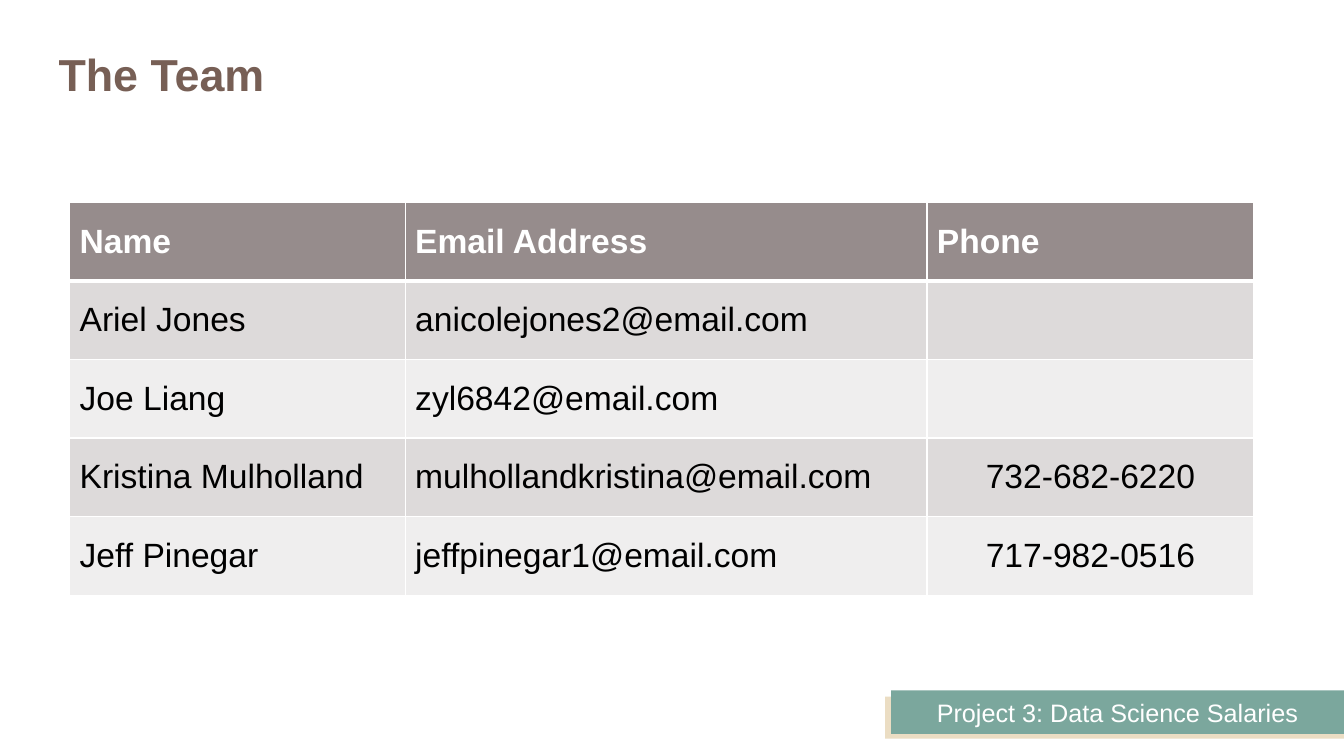
from dataclasses import dataclass

from lxml.etree import SubElement
from pptx import Presentation
from pptx.dml.color import RGBColor
from pptx.enum.shapes import MSO_SHAPE
from pptx.enum.text import MSO_ANCHOR, PP_ALIGN
from pptx.oxml.ns import qn
from pptx.shapes.autoshape import Shape
from pptx.slide import Slide
from pptx.table import _Cell
from pptx.text.text import TextFrame
from pptx.util import Pt


@dataclass(frozen=True)
class Theme:
    font: str = "Arial"
    title: str = "775F55"
    white: str = "FFFFFF"
    black: str = "000000"
    header: str = "968C8C"
    bands: tuple[str, str] = ("DDDADA", "EFEEEE")
    footer: str = "7BA79D"
    footer_edge: str = "EBDDC3"
    title_size: float = 32
    table_size: float = 24
    footer_size: float = 18


@dataclass(frozen=True)
class Area:
    left: float
    top: float
    width: float
    height: float

    def points(self) -> tuple[Pt, Pt, Pt, Pt]:
        return Pt(self.left), Pt(self.top), Pt(self.width), Pt(self.height)


@dataclass(frozen=True)
class Member:
    name: str
    email: str
    phone: str = ""


@dataclass(frozen=True)
class Bar:
    area: Area
    color: str
    text: str = ""


THEME = Theme()
HEADINGS = ("Name", "Email Address", "Phone")
TEAM = (
    Member("Ariel Jones", "anicolejones2@email.com"),
    Member("Joe Liang", "zyl6842@email.com"),
    Member("Kristina Mulholland", "mulhollandkristina@email.com", "732-682-6220"),
    Member("Jeff Pinegar", "jeffpinegar1@email.com", "717-982-0516"),
)
COLUMN_WIDTHS = (239.7, 372.7, 233.6)
ROW_HEIGHT = 56.2
TITLE_AREA = Area(41.8, 15.1, 877, 79.2)
TABLE_AREA = Area(49.7, 144.3, sum(COLUMN_WIDTHS), ROW_HEIGHT * (len(TEAM) + 1))
FOOTER_BARS = (
    Bar(Area(632.2, 497.5, 327.8, 30.2), THEME.footer_edge),
    Bar(Area(636.5, 493.2, 323.5, 31), THEME.footer, "Project 3: Data Science Salaries"),
)


def write(frame: TextFrame, text: str, size: float, color: str,
          bold: bool = False, align: PP_ALIGN = PP_ALIGN.LEFT) -> None:
    para = frame.paragraphs[0]
    para.alignment = align
    span = para.add_run()
    span.text = text
    formats = {"name": THEME.font, "size": Pt(size), "bold": bold}
    for key, value in formats.items():
        setattr(span.font, key, value)
    span.font.color.rgb = RGBColor.from_string(color)


def add_bar(page: Slide, bar: Bar) -> Shape:
    box = page.shapes.add_shape(MSO_SHAPE.RECTANGLE, *bar.area.points())
    box.shadow.inherit = False
    box.fill.solid()
    box.fill.fore_color.rgb = RGBColor.from_string(bar.color)
    box.line.fill.background()
    if bar.text:
        box.text_frame.vertical_anchor = MSO_ANCHOR.MIDDLE
        write(box.text_frame, bar.text, THEME.footer_size, THEME.white,
              align=PP_ALIGN.CENTER)
    return box


def add_title(page: Slide, text: str) -> None:
    frame = page.shapes.add_textbox(*TITLE_AREA.points()).text_frame
    formats = {"word_wrap": True, "vertical_anchor": MSO_ANCHOR.MIDDLE,
               "margin_left": 0, "margin_top": 0,
               "margin_right": 0, "margin_bottom": 0}
    for key, value in formats.items():
        setattr(frame, key, value)
    write(frame, text, THEME.title_size, THEME.title, bold=True)
    frame.paragraphs[0].line_spacing = 0.9


def style_cell(cell: _Cell, color: str, top: float, bottom: float) -> None:
    # Borders come before the fill in the cell properties
    properties = cell._tc.get_or_add_tcPr()
    for side, width in {"L": 1, "R": 1, "T": top, "B": bottom}.items():
        line = SubElement(properties, qn(f"a:ln{side}"), w=str(Pt(width)))
        fill = SubElement(line, qn("a:solidFill"))
        SubElement(fill, qn("a:srgbClr"), val=THEME.white)
    cell.fill.solid()
    cell.fill.fore_color.rgb = RGBColor.from_string(color)
    cell.vertical_anchor = MSO_ANCHOR.MIDDLE


def add_team_table(page: Slide) -> None:
    rows = [HEADINGS] + [(member.name, member.email, member.phone) for member in TEAM]
    table = page.shapes.add_table(len(rows), len(HEADINGS), *TABLE_AREA.points()).table
    table.horz_banding = False
    for column, width in zip(table.columns, COLUMN_WIDTHS):
        column.width = Pt(width)
    for number, texts in enumerate(rows):
        table.rows[number].height = Pt(ROW_HEIGHT)
        heading = number == 0
        color = THEME.header if heading else THEME.bands[(number - 1) % 2]
        for index, text in enumerate(texts):
            cell = table.cell(number, index)
            style_cell(cell, color, top=3 if number == 1 else 1, bottom=3 if heading else 1)
            if text:
                centred = not heading and HEADINGS[index] == "Phone"
                write(cell.text_frame, text, THEME.table_size,
                      THEME.white if heading else THEME.black, bold=heading,
                      align=PP_ALIGN.CENTER if centred else PP_ALIGN.LEFT)


def main() -> None:
    deck = Presentation()
    deck.slide_width, deck.slide_height = Pt(960), Pt(540)
    page = deck.slides.add_slide(deck.slide_layouts[6])

    # Footer band
    for bar in FOOTER_BARS:
        add_bar(page, bar)

    # Title and contact table
    add_title(page, "The Team")
    add_team_table(page)

    deck.save("out.pptx")


if __name__ == "__main__":
    main()
